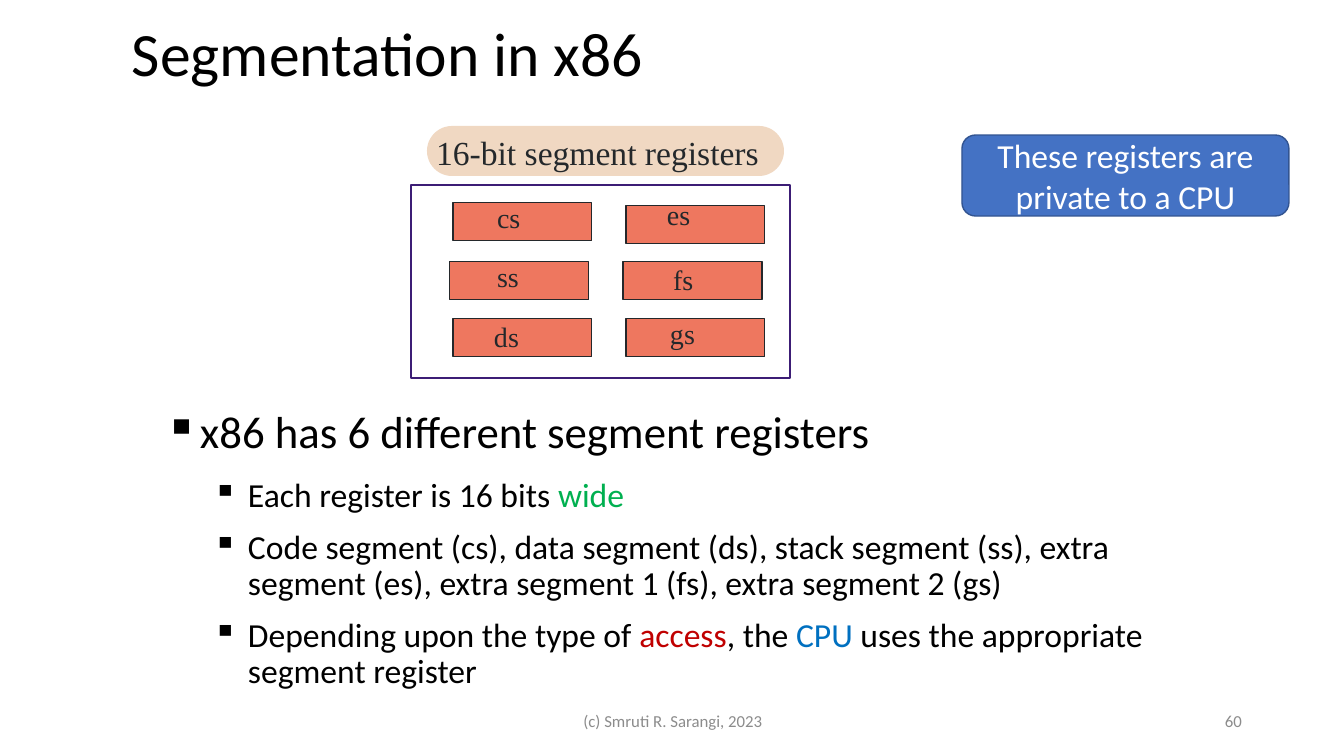
from lxml import etree
from pptx import Presentation
from pptx import util as u
from pptx.dml.color import RGBColor
from pptx.enum import shapes, text
from pptx.oxml.ns import qn

PX = 12192000 / 1344  # EMU in one px
SANS, SERIF = "Calibri", "Times New Roman"
BLACK, INK, GREY, WHITE = "000000", "24282B", "8C8C8C", "FFFFFF"

# Content: register name, box left and top, label left and top
REGISTERS = [
    ("cs", (453, 203), (497, 200)),
    ("ss", (450, 262), (497, 259)),
    ("ds", (453, 319), (494, 319)),
    ("es", (626, 206), (667, 197)),
    ("fs", (623, 262), (673, 262)),
    ("gs", (626, 319), (670, 316)),
]
REGISTER_SIZE = (139, 38)
LABEL_SIZE = (29, 39)

# Level and coloured runs of each bullet
BULLETS = [
    (0, [("x86 has 6 different segment registers", BLACK)]),
    (1, [("Each register is 16 bits ", BLACK), ("wide", "00B050")]),
    (1, [("Code segment (cs), data segment (ds), stack segment (ss), extra "
          "segment (es), extra segment 1 (fs), extra segment 2 (gs)", BLACK)]),
    (1, [("Depending upon the type of ", BLACK), ("access", "C00000"),
         (", the ", BLACK), ("CPU", "0070C0"),
         (" uses the appropriate segment register", BLACK)]),
]
# Size, space after (pt) and indent (px) of each bullet level
LEVELS = [(32, 14.1, 47), (24, 11.3, 95)]
HANGING = 35


def px(value):
    return u.Emu(round(value * PX))


def color(hex_string):
    return RGBColor.from_string(hex_string)


def add_run(paragraph, words, size, font, hex_color):
    run = paragraph.add_run()
    run.text = words
    values = {"size": u.Pt(size), "name": font}
    for name, value in values.items():
        setattr(run.font, name, value)
    run.font.color.rgb = color(hex_color)


def format_frame(shape, inset=(0, 0), wrap=True, anchor="TOP"):
    frame = shape.text_frame
    values = {
        "margin_left": px(inset[0]), "margin_right": px(inset[0]),
        "margin_top": px(inset[1]), "margin_bottom": px(inset[1]),
        "word_wrap": wrap,
        "vertical_anchor": getattr(text.MSO_ANCHOR, anchor),
    }
    for name, value in values.items():
        setattr(frame, name, value)
    return frame


def add_text(slide, box, words, size, font, hex_color, align="LEFT", **frame_format):
    shape = slide.shapes.add_textbox(*map(px, box))
    paragraph = format_frame(shape, **frame_format).paragraphs[0]
    paragraph.alignment = getattr(text.PP_ALIGN, align)
    add_run(paragraph, words, size, font, hex_color)
    return paragraph


def add_box(slide, box, fill=None, line=None, width=1, kind="RECTANGLE"):
    shape = slide.shapes.add_shape(getattr(shapes.MSO_SHAPE, kind), *map(px, box))
    shape.shadow.inherit = False
    if fill:
        shape.fill.solid()
        shape.fill.fore_color.rgb = color(fill)
    else:
        shape.fill.background()
    if line:
        shape.line.color.rgb = color(line)
        shape.line.width = u.Pt(width)
    else:
        shape.line.fill.background()
    return shape


def add_bullet(paragraph, level, runs):
    size, space_after, indent = LEVELS[level]
    properties = paragraph._p.get_or_add_pPr()
    properties.set("marL", str(px(indent)))
    properties.set("indent", str(px(-HANGING)))
    etree.SubElement(properties, qn("a:buChar")).set("char", "▪")
    values = {"level": level, "line_spacing": 0.9, "space_after": u.Pt(space_after)}
    for name, value in values.items():
        setattr(paragraph, name, value)
    for words, hex_color in runs:
        add_run(paragraph, words, size, SANS, hex_color)


def main():
    presentation = Presentation()
    presentation.slide_width, presentation.slide_height = px(1344), px(756)
    slide = presentation.slides.add_slide(presentation.slide_layouts[6])

    # Title
    title = add_text(slide, (132, 5, 817, 103), "Segmentation in x86",
                     44, SANS, BLACK, anchor="MIDDLE")
    title.line_spacing = 0.9

    # Bullets
    body = format_frame(slide.shapes.add_textbox(*map(px, (153, 410, 1027, 296))))
    for index, (level, runs) in enumerate(BULLETS):
        paragraph = body.add_paragraph() if index else body.paragraphs[0]
        add_bullet(paragraph, level, runs)

    # Segment registers in their frame
    add_box(slide, (411, 185, 379, 193), line="3C1D75")
    for name, corner, label_corner in REGISTERS:
        add_box(slide, corner + REGISTER_SIZE, "EE775F", INK, 0)
        add_text(slide, label_corner + LABEL_SIZE, name, 20, SERIF, INK, wrap=False)

    # Heading of the diagram
    heading = add_box(slide, (427, 126, 357, 50), "F0D8C2", kind="ROUNDED_RECTANGLE")
    heading.adjustments[0] = 0.5
    add_text(slide, (436, 132, 326, 40), "16-bit segment registers",
             24, SERIF, INK, wrap=False)

    # Callout
    callout = add_box(slide, (962, 135, 327, 81), "4472C4", "325491",
                      kind="ROUNDED_RECTANGLE")
    frame = format_frame(callout, inset=(10, 5), anchor="MIDDLE")
    frame.paragraphs[0].alignment = text.PP_ALIGN.CENTER
    add_run(frame.paragraphs[0], "These registers are private to a CPU",
            24, SANS, WHITE)

    # Footer and slide number
    footer_format = {"inset": (10, 5), "anchor": "MIDDLE"}
    add_text(slide, (446, 701, 454, 40), "(c) Smruti R. Sarangi, 2023",
             12, SANS, GREY, "CENTER", **footer_format)
    add_text(slide, (950, 701, 302, 40), "60",
             12, SANS, GREY, "RIGHT", **footer_format)

    presentation.save("out.pptx")


if __name__ == "__main__":
    main()
